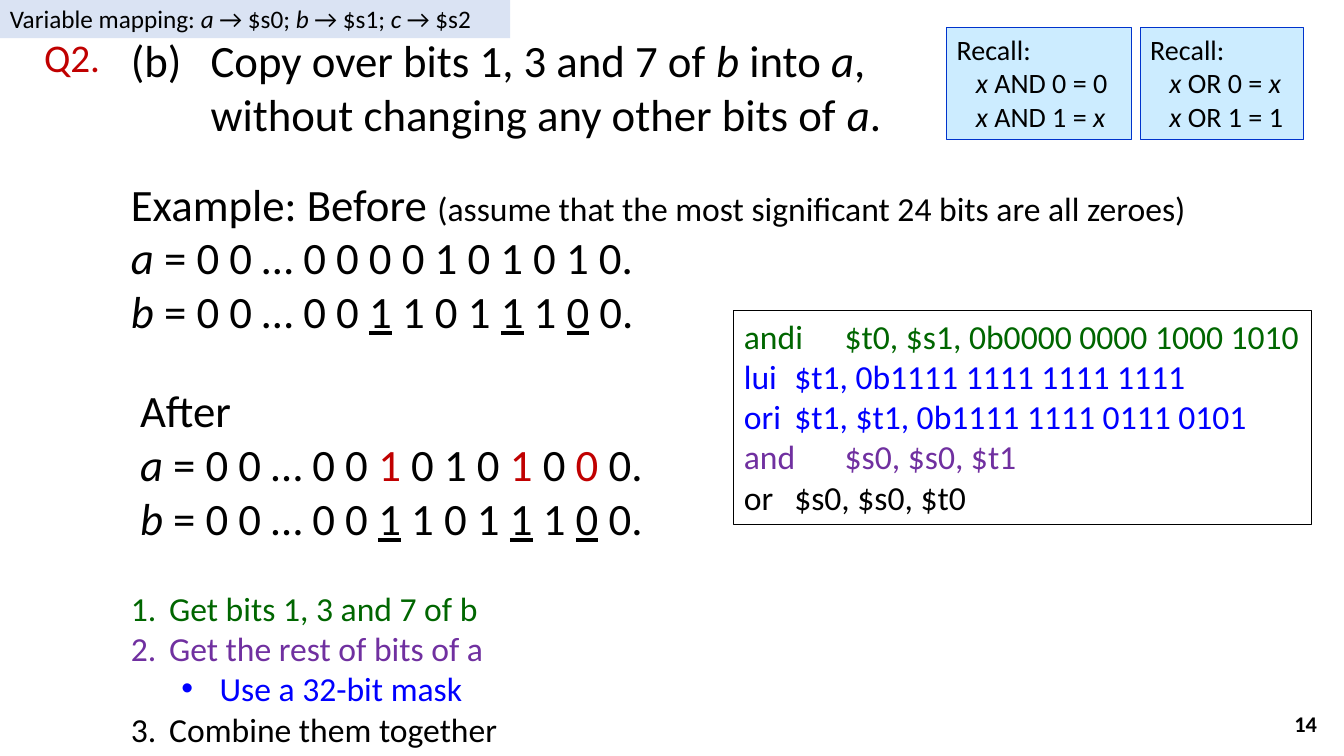
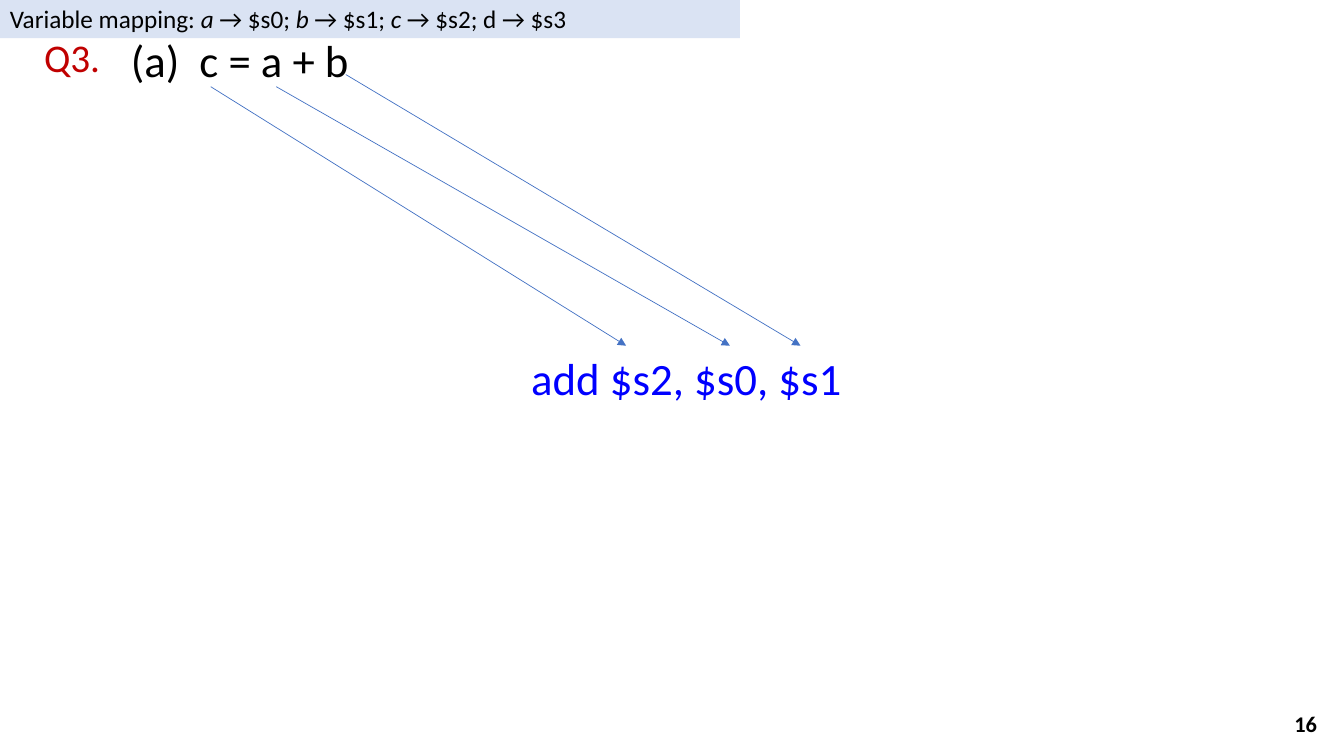
"""Build two tutorial slides on bit masks and MIPS instructions."""

from dataclasses import dataclass
from typing import Optional

from lxml.etree import SubElement
from pptx import Presentation
from pptx.dml.color import RGBColor
from pptx.enum.shapes import MSO_CONNECTOR, MSO_SHAPE
from pptx.enum.text import MSO_ANCHOR, MSO_AUTO_SIZE, PP_ALIGN
from pptx.oxml.ns import qn
from pptx.util import Inches, Pt

FONT = "Calibri"
COLORS = {
    "black": "000000",
    "red": "C00000",
    "green": "006600",
    "blue": "0000FF",
    "purple": "7030A0",
    "band": "DAE3F3",
    "recall_fill": "CCECFF",
    "recall_line": "0033CC",
    "arrow": "4472C4",
}


@dataclass(frozen=True)
class Run:
    text: str
    color: Optional[str] = None
    italic: bool = False
    underline: bool = False
    size: Optional[float] = None


@dataclass(frozen=True)
class Line:
    runs: tuple[Run, ...]
    color: str = "black"
    left: float = 0
    hanging: float = 0
    bullet: Optional[str] = None
    level: int = 0
    tab: Optional[float] = None


@dataclass(frozen=True)
class Box:
    left: float
    top: float
    width: float
    height: float
    size: float
    fill: Optional[str] = None
    outline: Optional[str] = None
    bold: bool = False
    align: PP_ALIGN = PP_ALIGN.LEFT
    anchor: MSO_ANCHOR = MSO_ANCHOR.TOP


@dataclass(frozen=True)
class Arrow:
    start: tuple[float, float]
    end: tuple[float, float]


def rgb(name: str) -> RGBColor:
    return RGBColor.from_string(COLORS[name])


def variable(name: str) -> Run:
    return Run(name, italic=True)


def plain(text: str, color: str = "black") -> Line:
    return Line((Run(text),), color)


def bit_row(name: str, parts: tuple[str, ...], marked: Run) -> Line:
    """Make a row of bits in which every second part is marked."""
    runs = [variable(name)]
    for index, part in enumerate(parts):
        if index % 2:
            runs.append(Run(part, marked.color, underline=marked.underline))
        else:
            runs.append(Run(part))
    return Line(tuple(runs))


def format_paragraph(paragraph, line: Line) -> None:
    paragraph.level = line.level
    properties = paragraph._p.get_or_add_pPr()
    properties.set("marL", str(Inches(line.left)))
    properties.set("indent", str(-Inches(line.hanging)))
    if line.bullet == "number":
        SubElement(properties, qn("a:buAutoNum"), type="arabicPeriod")
    elif line.bullet:
        SubElement(properties, qn("a:buFont"), typeface="Arial")
        SubElement(properties, qn("a:buChar"), char=line.bullet)
    if line.tab:
        tabs = SubElement(properties, qn("a:tabLst"))
        SubElement(tabs, qn("a:tab"), pos=str(Inches(line.tab)), algn="l")


def add_box(slide, box: Box, lines: list[Line]) -> None:
    bounds = [Inches(n) for n in (box.left, box.top, box.width, box.height)]
    if box.fill or box.outline:
        shape = slide.shapes.add_shape(MSO_SHAPE.RECTANGLE, *bounds)
        shape.shadow.inherit = False
        if box.fill:
            shape.fill.solid()
            shape.fill.fore_color.rgb = rgb(box.fill)
        else:
            shape.fill.background()
        if box.outline:
            shape.line.color.rgb = rgb(box.outline)
            shape.line.width = Pt(0.75)
        else:
            shape.line.fill.background()
    else:
        shape = slide.shapes.add_textbox(*bounds)
    frame = shape.text_frame
    frame.word_wrap = True
    frame.auto_size = MSO_AUTO_SIZE.SHAPE_TO_FIT_TEXT
    frame.vertical_anchor = box.anchor
    for index, line in enumerate(lines):
        paragraph = frame.add_paragraph() if index else frame.paragraphs[0]
        paragraph.alignment = box.align
        format_paragraph(paragraph, line)
        for part in line.runs:
            run = paragraph.add_run()
            run.text = part.text
            run.font.name = FONT
            run.font.size = Pt(part.size or box.size)
            run.font.bold = box.bold
            run.font.italic = part.italic
            run.font.underline = part.underline
            run.font.color.rgb = rgb(part.color or line.color)


def add_arrow(slide, arrow: Arrow) -> None:
    points = [Inches(n) for n in (*arrow.start, *arrow.end)]
    connector = slide.shapes.add_connector(MSO_CONNECTOR.STRAIGHT, *points)
    connector.line.color.rgb = rgb("arrow")
    connector.line.width = Pt(0.5)
    SubElement(connector.line._get_or_add_ln(), qn("a:tailEnd"), type="triangle")
    SubElement(connector._element.spPr, qn("a:effectLst"))


def add_question_slide(
    presentation, number: int, label: str, band_width: float, last_mapping: str
):
    """Add a blank slide with its number, question label and mapping band."""
    slide = presentation.slides.add_slide(presentation.slide_layouts[6])
    number_box = Box(
        10.16, 6.98, 3, 0.4, 16, bold=True,
        align=PP_ALIGN.RIGHT, anchor=MSO_ANCHOR.MIDDLE,
    )
    add_box(slide, number_box, [plain(str(number))])
    label_box = Box(0.22, 0.28, 0.99, 0.57, 28, align=PP_ALIGN.CENTER)
    add_box(slide, label_box, [plain(label, "red")])
    mapping = Line((
        Run("Variable mapping: "),
        variable("a "), Run("→ $s0; "),
        variable("b"), Run(" → $s1; "),
        variable("c"), Run(last_mapping),
    ))
    add_box(slide, Box(0, -0.02, band_width, 0.4, 18, fill="band"), [mapping])
    return slide


def add_recall(slide, left: float, width: float, rules: list[tuple[Run, ...]]) -> None:
    box = Box(left, 0.27, width, 1.11, 20, "recall_fill", "recall_line")
    lines = [Line(rule, left=0.19, level=1) for rule in rules]
    add_box(slide, box, [plain("Recall:"), *lines])


def build_copy_bits(presentation) -> None:
    slide = add_question_slide(presentation, 14, "Q2.", 5.06, " → $s2")
    task = Line((
        Run("(b)\tCopy over bits 1, 3 and 7 of "), variable("b "),
        Run("into "), variable("a"),
        Run(", without changing any other bits of "), variable("a"), Run("."),
    ), left=0.79, hanging=0.79)
    add_box(slide, Box(1.2, 0.28, 8.76, 1.18, 32), [task])

    b_row = bit_row(
        "b", (" = 0 0 … 0 0 ", "1", " 1 0 1 ", "1", " 1 ", "0", " 0."),
        Run("", underline=True),
    )
    before = Line((
        Run("Example: Before "),
        Run("(assume that the most significant 24 bits are all zeroes)", size=24),
    ))
    a_before = Line((variable("a"), Run(" = 0 0 … 0 0 0 0 1 0 1 0 1 0.")))
    add_box(slide, Box(1.2, 1.7, 10.74, 1.72, 32), [before, a_before, b_row])
    a_after = bit_row(
        "a", (" = 0 0 … 0 0 ", "1", " 0 1 0 ", "1", " 0 ", "0", " 0."),
        Run("", "red"),
    )
    add_box(slide, Box(1.29, 3.75, 5.59, 1.72, 32), [plain("After"), a_after, b_row])

    instructions = [
        ("andi", "$t0, $s1, 0b0000 0000 1000 1010", "green"),
        ("lui", "$t1, 0b1111 1111 1111 1111", "blue"),
        ("ori", "$t1, $t1, 0b1111 1111 0111 0101", "blue"),
        ("and", "$s0, $s0, $t1", "purple"),
        ("or", "$s0, $s0, $t0", "black"),
    ]
    code = [
        Line((Run(f"{name}\t{operands}"),), color, tab=0.75)
        for name, operands, color in instructions
    ]
    add_box(slide, Box(7.28, 3.08, 5.73, 2.12, 24, outline="black"), code)

    x = variable("x")
    add_recall(slide, 9.39, 1.83, [(x, Run(" AND 0 = 0")), (x, Run(" AND 1 = "), x)])
    add_recall(slide, 11.31, 1.62, [(x, Run(" OR 0 = "), x), (x, Run(" OR 1 = 1"))])

    steps = [
        ("Get bits 1, 3 and 7 of b", "green", 0),
        ("Get the rest of bits of a", "purple", 0),
        ("Use a 32-bit mask", "blue", 1),
        ("Combine them together", "black", 0),
    ]
    step_lines = [
        Line((Run(text),), color, 0.38 + level * 0.5, 0.38,
             "•" if level else "number", level)
        for text, color, level in steps
    ]
    add_box(slide, Box(1.2, 5.78, 3.86, 1.72, 24), step_lines)


def build_addition(presentation) -> None:
    slide = add_question_slide(presentation, 16, "Q3.", 7.34, " → $s2; d → $s3")
    task = Line((Run("(a)\tc = a + b"),), left=0.68, hanging=0.68)
    add_box(slide, Box(1.2, 0.28, 11.92, 0.64, 32), [task])
    add_box(slide, Box(5.17, 3.43, 6.69, 0.64, 32), [plain("add $s2, $s0, $s1", "blue")])
    for arrow in (
        Arrow((2.09, 0.86), (6.21, 3.43)),
        Arrow((2.74, 0.86), (7.24, 3.43)),
        Arrow((3.43, 0.74), (7.94, 3.43)),
    ):
        add_arrow(slide, arrow)


def main() -> None:
    presentation = Presentation()
    presentation.slide_width = Inches(13.33)
    presentation.slide_height = Inches(7.5)
    build_copy_bits(presentation)
    build_addition(presentation)
    presentation.save("out.pptx")


if __name__ == "__main__":
    main()
